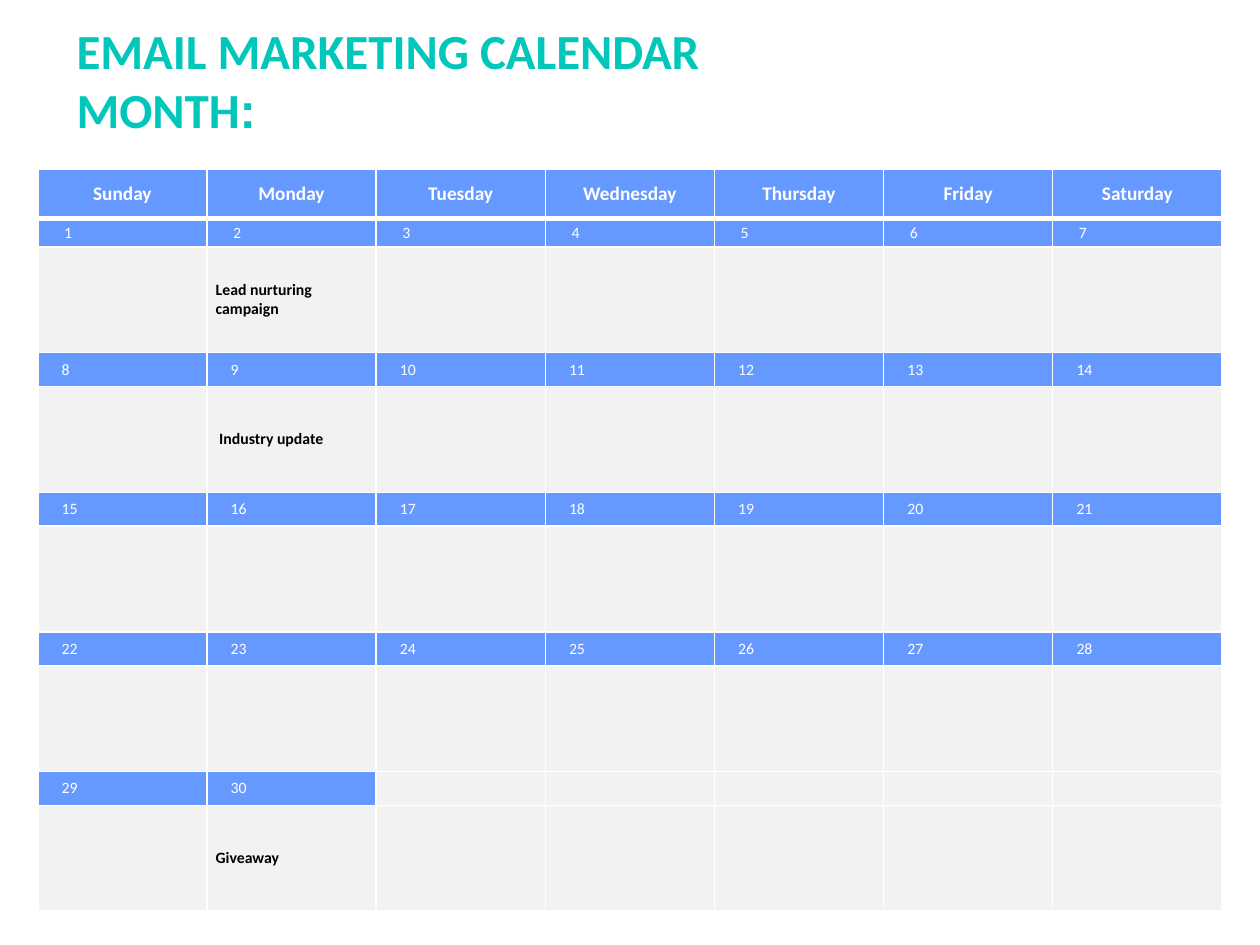
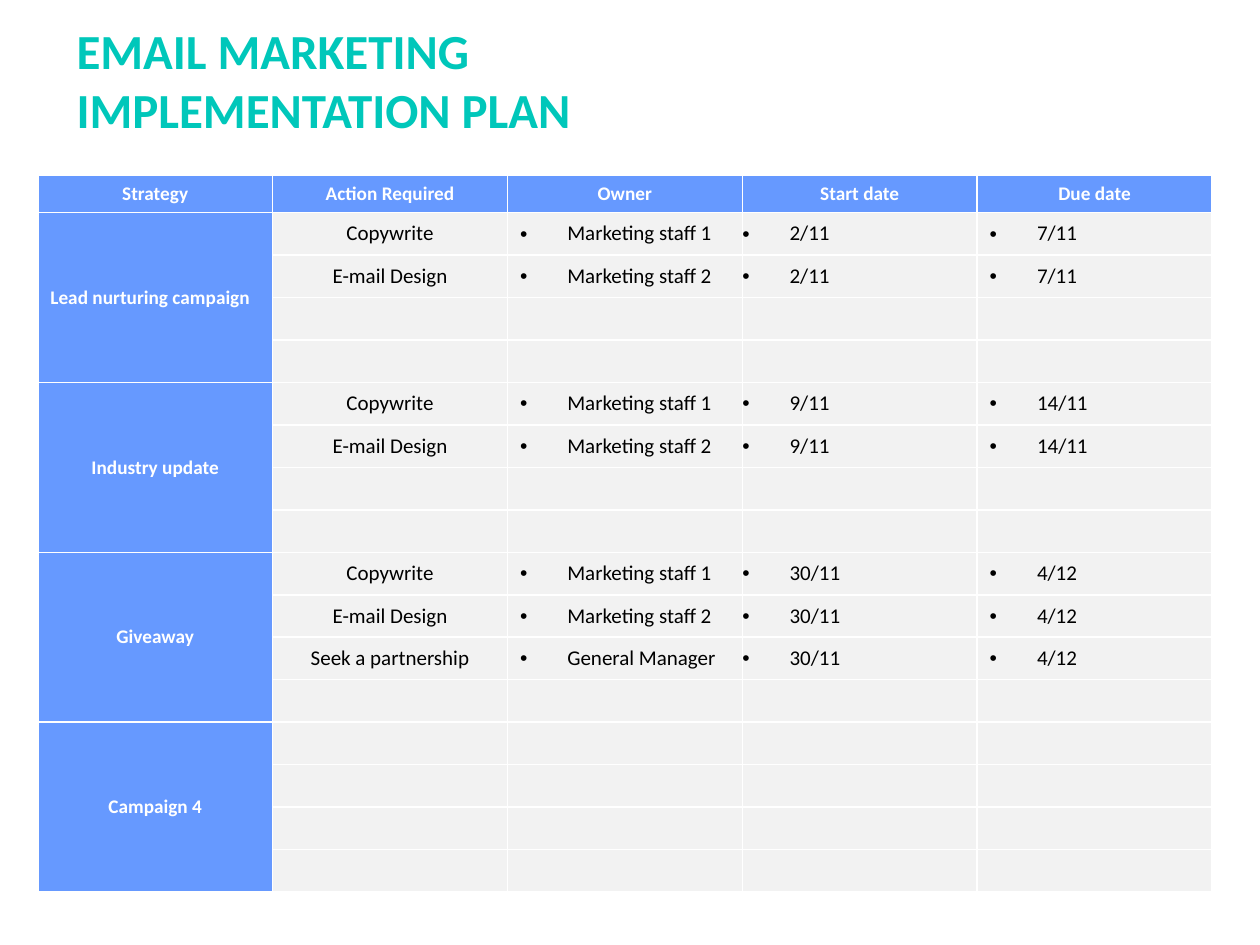
from dataclasses import dataclass

from lxml import etree
from pptx import Presentation
from pptx.dml.color import RGBColor as Rgb
from pptx.enum import text as t
from pptx.oxml.ns import qn
from pptx.util import Pt

# Content: calendar
DAYS = ["Sunday", "Monday", "Tuesday", "Wednesday", "Thursday", "Friday", "Saturday"]
LAST = 30
MAILS = {2: "Lead nurturing campaign", 9: "Industry update", 30: "Giveaway"}

# Content: plan, with the start and due dates of each campaign
HEADS = ["Strategy", "Action Required", "Owner", "Start date", "Due date"]
COPY = ("Copywrite", "Marketing staff 1")
DESIGN = ("E-mail Design", "Marketing staff 2")
SEEK = ("Seek a partnership", "General Manager")
PLAN = [
    ("Lead nurturing campaign", [COPY, DESIGN], ("2/11", "7/11")),
    ("Industry update", [COPY, DESIGN], ("9/11", "14/11")),
    ("Giveaway", [COPY, DESIGN, SEEK], ("30/11", "4/12")),
    ("Campaign 4", [], ()),
]
SLOTS = 4  # action rows per campaign


@dataclass
class Theme:
    font: str = "Calibri"
    teal: str = "00C7BA"
    blue: str = "6699FF"
    gray: str = "F2F2F2"
    white: str = "FFFFFF"
    black: str = "000000"
    title: int = 28
    head: int = 11
    body: int = 12
    small: int = 9


TH = Theme()
MID = t.PP_ALIGN.CENTER
LEFT = t.PP_ALIGN.LEFT


def style(run, size, color, bold, font=TH.font):
    run.font.name, run.font.size, run.font.bold = font, Pt(size), bold
    run.font.color.rgb = Rgb.from_string(color)


def add_title(slide, *lines):
    box = slide.shapes.add_textbox(Pt(36.7), Pt(7.9), Pt(635.8), Pt(74.9))
    frame = box.text_frame
    frame.word_wrap = True
    frame.auto_size = t.MSO_AUTO_SIZE.SHAPE_TO_FIT_TEXT
    frame.vertical_anchor = t.MSO_ANCHOR.MIDDLE
    frame.text = "\n".join(lines)
    for para in frame.paragraphs:
        for run in para.runs:
            style(run, TH.title, TH.teal, True)
    return frame


def add_grid(slide, left, top, wide, cols, rows):
    """Add a plain table with equal columns and the given row heights."""
    frame = slide.shapes.add_table(len(rows), cols, Pt(left), Pt(top),
                                   Pt(wide), Pt(sum(rows)))
    grid = frame.table
    grid.first_row = grid.horz_banding = False
    for col in grid.columns:
        col.width = Pt(wide / cols)
    for row, high in zip(grid.rows, rows):
        row.height = Pt(high)
    return grid


def edge(cell, **wide):
    """Draw white borders, 1 pt unless a side is given its own width."""
    props = cell._tc.get_or_add_tcPr()
    for side in "LRTB":
        line = etree.SubElement(props, qn("a:ln" + side), w=str(Pt(wide.get(side, 1))))
        fill = etree.SubElement(line, qn("a:solidFill"))
        etree.SubElement(fill, qn("a:srgbClr"), val=TH.white)


def put(cell, words="", fill=TH.gray, size=TH.small, color=TH.white, bold=False,
        align=LEFT, pad=(7.2, 3.6), indent=0, bullet=False, **wide):
    """Fill one cell: borders, colour, insets and text."""
    edge(cell, **wide)
    cell.fill.solid()
    cell.fill.fore_color.rgb = Rgb.from_string(fill)
    cell.vertical_anchor = t.MSO_ANCHOR.MIDDLE
    cell.margin_left = cell.margin_right = Pt(pad[0])
    cell.margin_top = cell.margin_bottom = Pt(pad[1])
    para = cell.text_frame.paragraphs[0]
    if not words:
        etree.SubElement(para._p, qn("a:endParaRPr"), sz=str(size * 100))
        return
    para.text = words
    para.alignment = align
    props = para._p.get_or_add_pPr()
    if indent:
        props.set("marL", str(Pt(indent)))
    if bullet:
        props.set("indent", str(-Pt(indent)))
        etree.SubElement(props, qn("a:buFont"), typeface="Arial")
        etree.SubElement(props, qn("a:buChar"), char="•")
    style(para.runs[0], size, color, bold)


def calendar(slide):
    frame = add_title(slide, "EMAIL MARKETING CALENDAR", "MONTH")
    colon = frame.paragraphs[1].add_run()
    colon.text = ":"
    style(colon, TH.title, TH.teal, True, "Arial")

    weeks = -(-LAST // len(DAYS))
    rows = [28.4, 16.2, 60.4] + [19.4, 60.4] * (weeks - 1)
    grid = add_grid(slide, 21.6, 96.6, 676.8, len(DAYS), rows)
    pad = (5, 0)
    for col, name in enumerate(DAYS):
        put(grid.cell(0, col), name, TH.blue, TH.head, bold=True, align=MID, pad=pad, B=3)
        for week in range(weeks):
            day = week * len(DAYS) + col + 1
            live = day <= LAST
            date, note = (grid.cell(2 * week + n, col) for n in (1, 2))
            put(date, str(day) if live else "", TH.blue if live else TH.gray,
                pad=pad, indent=8.6 if week else 10, T=1 if week else 3)
            put(note, MAILS.get(day, ""), color=TH.black, bold=True, pad=pad,
                indent=2 if day == 9 else 0)


def plan(slide):
    add_title(slide, "EMAIL MARKETING", "IMPLEMENTATION PLAN")
    rows = [21.3] + [24.27] * (SLOTS * len(PLAN))
    grid = add_grid(slide, 21.6, 100.2, 671, len(HEADS), rows)
    pads = [(7.2, 3.6), (0, 0)]  # alternate by column
    name = dict(fill=TH.blue, size=TH.head, bold=True)
    for col, head in enumerate(HEADS):
        put(grid.cell(0, col), head, align=MID, pad=pads[col % 2], **name)

    for part, (title, acts, dates) in enumerate(PLAN):
        top = 1 + part * SLOTS
        grid.cell(top, 0).merge(grid.cell(top + SLOTS - 1, 0))
        for slot in range(SLOTS):
            put(grid.cell(top + slot, 0), "" if slot else title,
                align=MID if part else LEFT, **name)
            texts = acts[slot] + dates if slot < len(acts) else [""] * 4
            for col, words in enumerate(texts, 1):
                list_col = col > 1
                put(grid.cell(top + slot, col), words, size=TH.body, color=TH.black,
                    align=LEFT if list_col else MID, pad=pads[col % 2],
                    indent=27 if list_col else 0, bullet=list_col)


def main():
    deck = Presentation()
    deck.slide_width, deck.slide_height = Pt(720), Pt(540)
    for build in (calendar, plan):
        build(deck.slides.add_slide(deck.slide_layouts[6]))
    deck.save("out.pptx")


if __name__ == "__main__":
    main()
